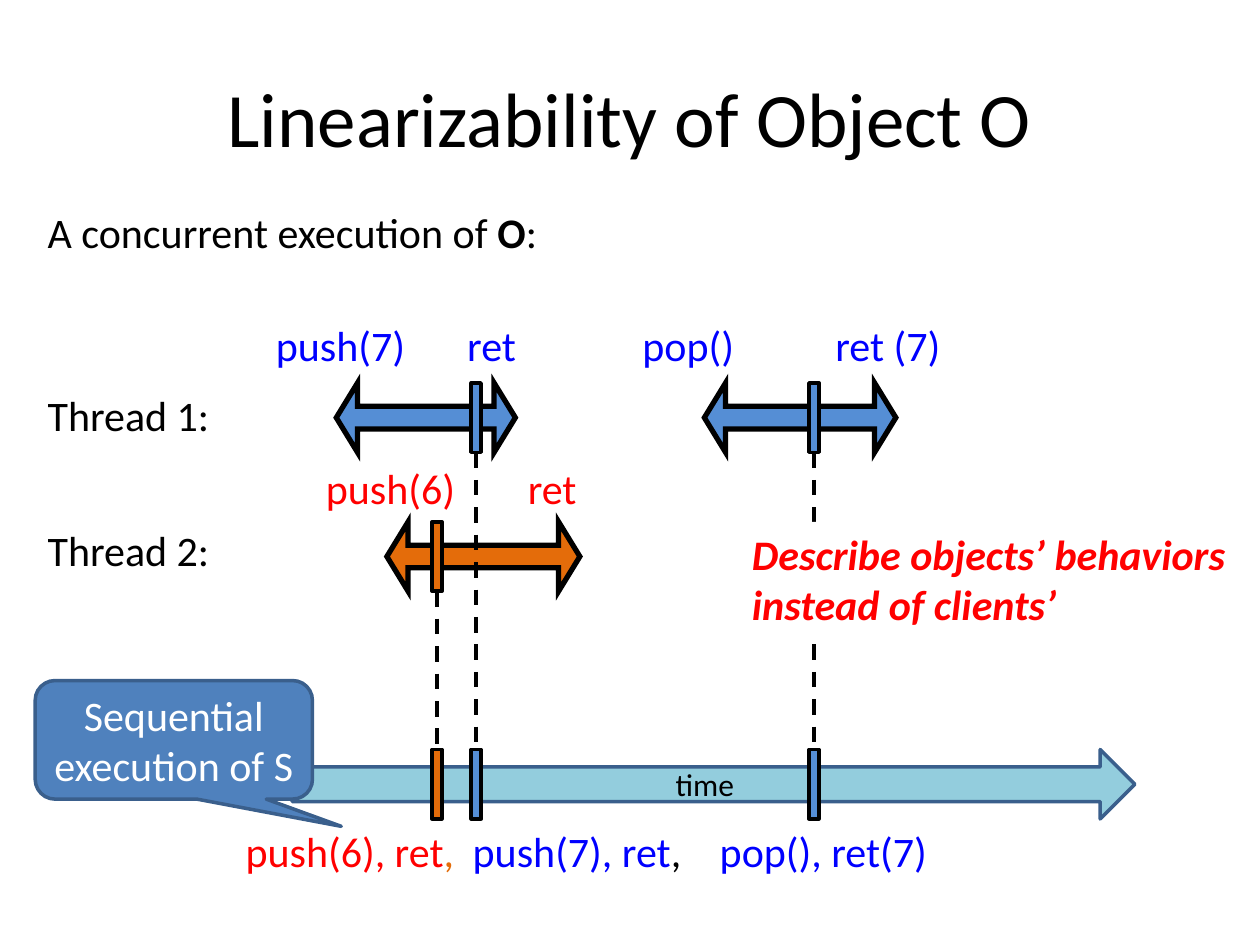
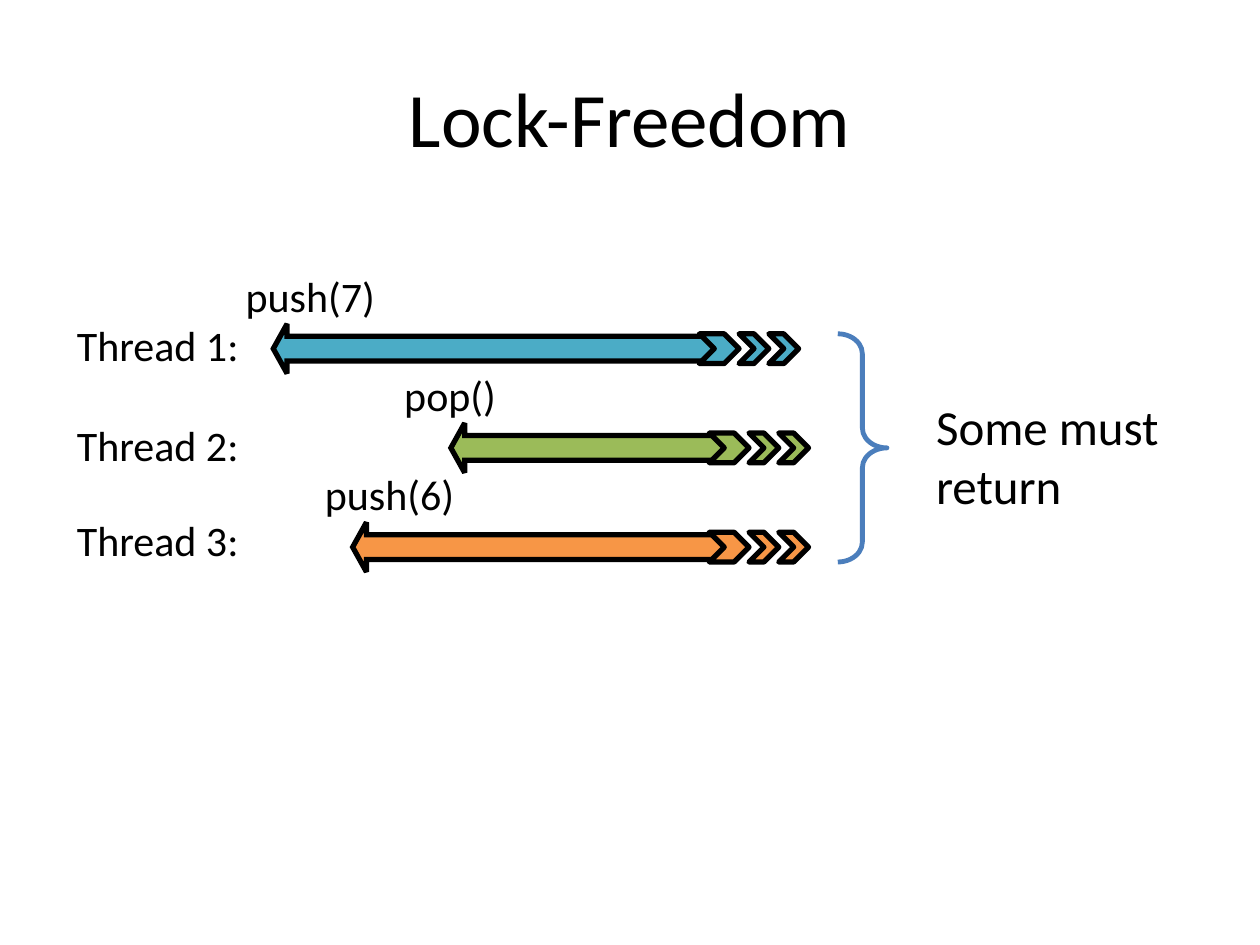
from lxml import etree
from pptx import Presentation
from pptx.dml.color import RGBColor
from pptx.enum import dml, shapes, text
from pptx.oxml import ns
from pptx.util import Cm, Pt

FONT = "Calibri"
BLACK, WHITE = "000000", "FFFFFF"
BLUE_TEXT, RED_TEXT = "0000FF", "FF0000"
BLUE, ORANGE = "558ED5", "E46C0A"
OUTLINE = "3A5F8C"
SHAPE = shapes.MSO_SHAPE
CENTER = text.PP_ALIGN.CENTER
MARK_WIDTH, BAR_HEIGHT = 0.2, 1.4
FIRST_ROW, SECOND_ROW, TIME_ROW = 7.72, 10.52, 15.11


def colour(value):
    return RGBColor.from_string(value)


def format_font(font, size, ink, bold=None, italic=None):
    font.name = FONT
    font.size = Pt(size)
    font.color.rgb = colour(ink)
    font.bold = bold
    font.italic = italic


def write(frame, words, size=24, ink=BLACK, align=None, bold=None, italic=None):
    frame.text = words
    for para in frame.paragraphs:
        para.alignment = align
        for span in para.runs:
            format_font(span.font, size, ink, bold, italic)


def add_page(deck, title):
    page = deck.slides.add_slide(deck.slide_layouts[5])
    box = page.shapes.title
    box.left, box.top, box.width, box.height = Cm(1.27), Cm(0.76), Cm(22.86), Cm(3.18)
    box.text_frame.vertical_anchor = text.MSO_ANCHOR.MIDDLE
    write(box.text_frame, title, 44, align=CENTER)
    return page


def add_label(page, words, left, top, width, ink=BLACK, size=24, height=1.27, wrap=False):
    box = page.shapes.add_textbox(Cm(left), Cm(top), Cm(width), Cm(height))
    frame = box.text_frame
    frame.word_wrap = wrap
    frame.auto_size = text.MSO_AUTO_SIZE.SHAPE_TO_FIT_TEXT
    write(frame, words, size, ink)
    return box


def add_figure(page, kind, left, top, width, height, fill=None, line=BLACK, weight=2,
               adjust=(), sharp=False):
    figure = page.shapes.add_shape(kind, Cm(left), Cm(top), Cm(width), Cm(height))
    figure.shadow.inherit = False
    for index, value in enumerate(adjust):
        figure.adjustments[index] = value
    if fill:
        figure.fill.solid()
        figure.fill.fore_color.rgb = colour(fill)
    else:
        figure.fill.background()
    if line:
        figure.line.color.rgb = colour(line)
        figure.line.width = Pt(weight)
    else:
        figure.line.fill.background()
    if sharp:
        outline = figure.line._get_or_add_ln()
        etree.SubElement(outline, ns.qn("a:miter")).set("lim", "800000")
    return figure


def add_call_span(page, left, top, width, fill):
    add_figure(page, SHAPE.LEFT_RIGHT_ARROW, left, top, width, BAR_HEIGHT, fill,
               weight=3, adjust=(0.327, 0.306), sharp=True)


def add_dashed_line(page, x, top, bottom):
    line = page.shapes.add_connector(shapes.MSO_CONNECTOR.STRAIGHT,
                                     Cm(x), Cm(top), Cm(x), Cm(bottom))
    line.line.color.rgb = colour(BLACK)
    line.line.width = Pt(2.25)
    line.line.dash_style = dml.MSO_LINE.DASH
    etree.SubElement(line._element.spPr, ns.qn("a:effectLst"))


def add_linearization_point(page, left, top, fill):
    add_figure(page, SHAPE.RECTANGLE, left, top, MARK_WIDTH, BAR_HEIGHT, fill)
    add_dashed_line(page, left + MARK_WIDTH / 2, top + BAR_HEIGHT, TIME_ROW)
    add_figure(page, SHAPE.RECTANGLE, left, TIME_ROW, MARK_WIDTH, BAR_HEIGHT, fill)


def add_pending_call(page, left, right, top, fill):
    add_figure(page, SHAPE.LEFT_ARROW, left, top, right - left, 1, fill,
               weight=3, adjust=(0.5, 0.278), sharp=True)
    for offset, width in ((-0.4, 0.8), (0.4, 0.6), (1, 0.6)):
        add_figure(page, SHAPE.CHEVRON, right + offset, top + 0.2, width, 0.6, fill, weight=3)


def build_linearizability(deck):
    page = add_page(deck, "Linearizability of Object O")
    heading = add_label(page, "A concurrent execution of ", 0.71, 4.04, 24.2, wrap=True)
    for words, bold in (("O", True), (":", False)):
        span = heading.text_frame.paragraphs[0].add_run()
        span.text = words
        format_font(span.font, 24, BLACK, bold)

    for left, top, width, fill in ((7.8, SECOND_ROW, 3.89, ORANGE),
                                   (6.78, FIRST_ROW, 3.61, BLUE),
                                   (14.2, FIRST_ROW, 3.86, BLUE)):
        add_call_span(page, left, top, width, fill)
    for words, left, top, width, ink in (
            ("Thread 1:", 0.71, 7.72, 3.81, BLACK),
            ("Thread 2:", 0.71, 10.44, 3.81, BLACK),
            ("push(7)", 5.31, 6.32, 3.15, BLUE_TEXT),
            ("ret", 9.17, 6.32, 1.5, BLUE_TEXT),
            ("pop()", 12.7, 6.32, 2.39, BLUE_TEXT),
            ("ret (7)", 16.59, 6.32, 2.95, BLUE_TEXT),
            ("push(6)", 6.32, 9.19, 3.15, RED_TEXT),
            ("ret", 10.39, 9.19, 1.5, RED_TEXT)):
        add_label(page, words, left, top, width, ink)

    axis = add_figure(page, SHAPE.RIGHT_ARROW, 5.89, TIME_ROW, 16.99, BAR_HEIGHT,
                      "93CDDD", OUTLINE)
    write(axis.text_frame, "time", 18, align=CENTER)
    for left, top, fill in ((9.5, FIRST_ROW, BLUE), (16.31, FIRST_ROW, BLUE),
                            (8.71, SECOND_ROW, ORANGE)):
        add_linearization_point(page, left, top, fill)

    for words, comma, left, width, ink, comma_ink in (
            ("push(6), ret", ",", 4.7, 4.75, RED_TEXT, ORANGE),
            ("push(7), ret", ",", 9.28, 4.75, BLUE_TEXT, BLACK),
            ("pop(), ret(7)", "", 14.26, 4.75, BLUE_TEXT, BLACK)):
        box = add_label(page, words, left, 16.51, width, ink)
        if comma:
            span = box.text_frame.paragraphs[0].add_run()
            span.text = comma
            format_font(span.font, 24, comma_ink)

    callout = add_figure(page, SHAPE.ROUNDED_RECTANGULAR_CALLOUT, 0.71, 13.72, 5.59, 2.39,
                         "4F81BD", OUTLINE, adjust=(0.604, 0.73, 0.167))
    write(callout.text_frame, "Sequential execution of S", ink=WHITE, align=CENTER)
    remark = add_figure(page, SHAPE.RECTANGLE, 14.91, 10.52, 10.39, 2.31, WHITE, None)
    remark.text_frame.vertical_anchor = text.MSO_ANCHOR.TOP
    write(remark.text_frame, "Describe objects’ behaviors \ninstead of clients’",
          ink=RED_TEXT, align=text.PP_ALIGN.LEFT, bold=True, italic=True)


def build_lock_freedom(deck):
    page = add_page(deck, "Lock-Freedom")
    add_figure(page, SHAPE.RIGHT_BRACE, 16.89, 6.73, 0.99, 4.6, line="4B7EBC",
               weight=2.75, adjust=(0.406, 0.5))
    add_label(page, "Some must return", 18.62, 7.87, 5.08, size=28, height=2.64, wrap=True)
    calls = (("push(7)", 5.51, 14.5, 4.7, 3.15, 6.32, "4BACC6"),
             ("pop()", 9.09, 14.7, 7.9, 2.39, 8.33, "9BBB59"),
             ("push(6)", 7.11, 14.7, 6.3, 3.15, 10.24, "F79646"))
    for row, (call, left, right, label_left, width, thread_top, fill) in enumerate(calls):
        top = 6.53 + 2 * row
        add_pending_call(page, left, right, top, fill)
        add_label(page, f"Thread {row + 1}:", 1.3, thread_top, 3.81)
        add_label(page, call, label_left, top - 1.2, width)


def main():
    deck = Presentation()
    deck.slide_width, deck.slide_height = Cm(25.4), Cm(19.05)
    build_linearizability(deck)
    build_lock_freedom(deck)
    deck.save("out.pptx")


main()
